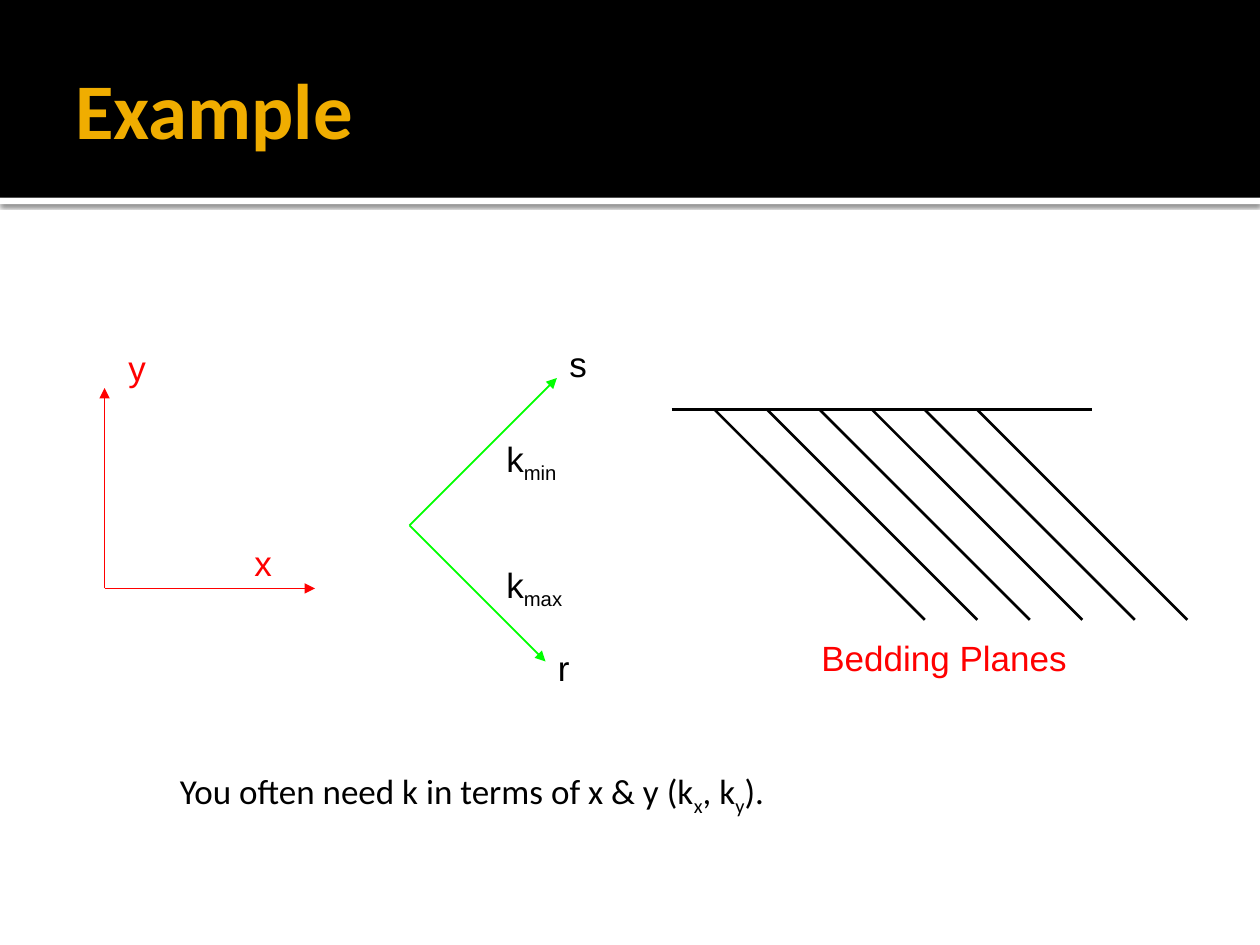
from lxml import etree
from pptx import Presentation
from pptx.dml.color import RGBColor
from pptx.enum.shapes import MSO_CONNECTOR, MSO_SHAPE
from pptx.enum.text import MSO_ANCHOR, MSO_AUTO_SIZE
from pptx.oxml.ns import qn
from pptx.util import Inches, Pt

RECT = MSO_SHAPE.RECTANGLE
LINE = MSO_CONNECTOR.STRAIGHT
MID, TOP = MSO_ANCHOR.MIDDLE, MSO_ANCHOR.TOP
GROW, FIXED = MSO_AUTO_SIZE.SHAPE_TO_FIT_TEXT, MSO_AUTO_SIZE.NONE

THEME = {
    "black": "000000", "white": "FFFFFF", "gold": "F0AD00",
    "red": "FF0000", "green": "00FF00",
    "head": "Calibri", "label": "Arial",
    "title": 45, "body": 20, "thin": 1, "thick": 1.5,
}

TITLE = "Example"
NOTE = [("You often need k in terms of x & y (k", False), ("x", True),
        (", k", False), ("y", True), (").", False)]
LABELS = [
    ([("s", False)], (4.42, 2.67, 0.42, 0.43), "black"),
    ([("r", False)], (4.33, 5.08, 0.42, 0.43), "black"),
    ([("k", False), ("min", True)], (3.92, 3.42, 0.83, 0.43), "black"),
    ([("k", False), ("max", True)], (3.92, 4.42, 0.83, 0.43), "black"),
    ([("y", False)], (0.92, 2.7, 0.42, 0.43), "red"),
    ([("x", False)], (1.92, 4.25, 0.42, 0.43), "red"),
    ([("Bedding Planes", False)], (6.42, 5, 2.58, 0.43), "red"),
]
AXES = [
    ((3.25, 4.17), [(4.42, 3), (4.33, 5.25)], "green"),
    ((0.83, 4.67), [(0.83, 3.08), (2.5, 4.67)], "red"),
]
GROUND = ((5.33, 3.25), (8.67, 3.25))
BEDS = {"count": 6, "left": 5.67, "step": 5 / 12, "run": 1.67}


def tint(name):
    return RGBColor.from_string(THEME[name])


def add_band(slide, box, name):
    band = slide.shapes.add_shape(RECT, *map(Inches, box))
    band.shadow.inherit = False
    band.fill.solid()
    band.fill.fore_color.rgb = tint(name)
    band.line.fill.background()
    return band


def cast_shade(band):
    effects = band._element.spPr.find(qn("a:effectLst"))
    shade = etree.SubElement(effects, qn("a:outerShdw"), blurRad=str(Pt(2.5)),
                             dist=str(Pt(0.8)), dir="5400000", algn="tl", rotWithShape="0")
    color = etree.SubElement(shade, qn("a:srgbClr"), val=THEME["black"])
    etree.SubElement(color, qn("a:alpha"), val="60000")


def add_line(slide, start, end, name, width, arrow=False):
    line = slide.shapes.add_connector(LINE, *map(Inches, start + end))
    line.line.color.rgb = tint(name)
    line.line.width = Pt(THEME[width])
    if arrow:
        etree.SubElement(line.line._get_or_add_ln(), qn("a:tailEnd"), type="triangle")
    etree.SubElement(line._element.spPr, qn("a:effectLst"))


def add_text(slide, parts, box, name, font="label", size="body", bold=False,
             anchor=TOP, wrap=True, fit=GROW):
    frame = slide.shapes.add_textbox(*map(Inches, box)).text_frame
    frame.word_wrap = wrap
    frame.auto_size = fit
    frame.vertical_anchor = anchor
    for text, low in parts:
        run = frame.paragraphs[0].add_run()
        run.text = text
        run.font.name = THEME[font]
        run.font.size = Pt(THEME[size])
        run.font.bold = bold
        run.font.color.rgb = tint(name)
        if low:
            run.font._element.set("baseline", "-25000")
    return frame


def main():
    deck = Presentation()
    deck.slide_width, deck.slide_height = Inches(10), Inches(7.5)
    slide = deck.slides.add_slide(deck.slide_layouts[6])

    cast_shade(add_band(slide, (0, 1.57, 10, 0.05), "white"))
    add_band(slide, (0, 0, 10, 1.57), "black")
    title = add_text(slide, [(TITLE, False)], (0.5, 0.17, 9, 1.37), "gold",
                     "head", "title", True, MID, fit=FIXED)
    title.margin_right = Inches(0.05)

    for start, ends, name in AXES:
        for end in ends:
            add_line(slide, start, end, name, "thin", True)

    add_line(slide, *GROUND, "black", "thick")
    top = GROUND[0][1]
    for i in range(BEDS["count"]):
        left = BEDS["left"] + i * BEDS["step"]
        add_line(slide, (left, top), (left + BEDS["run"], top + BEDS["run"]),
                 "black", "thick")

    for parts, box, name in LABELS:
        add_text(slide, parts, box, name)
    add_text(slide, NOTE, (1.33, 6.08, 4.94, 0.44), "black", "head",
             anchor=MID, wrap=False)

    deck.save("out.pptx")


if __name__ == "__main__":
    main()
